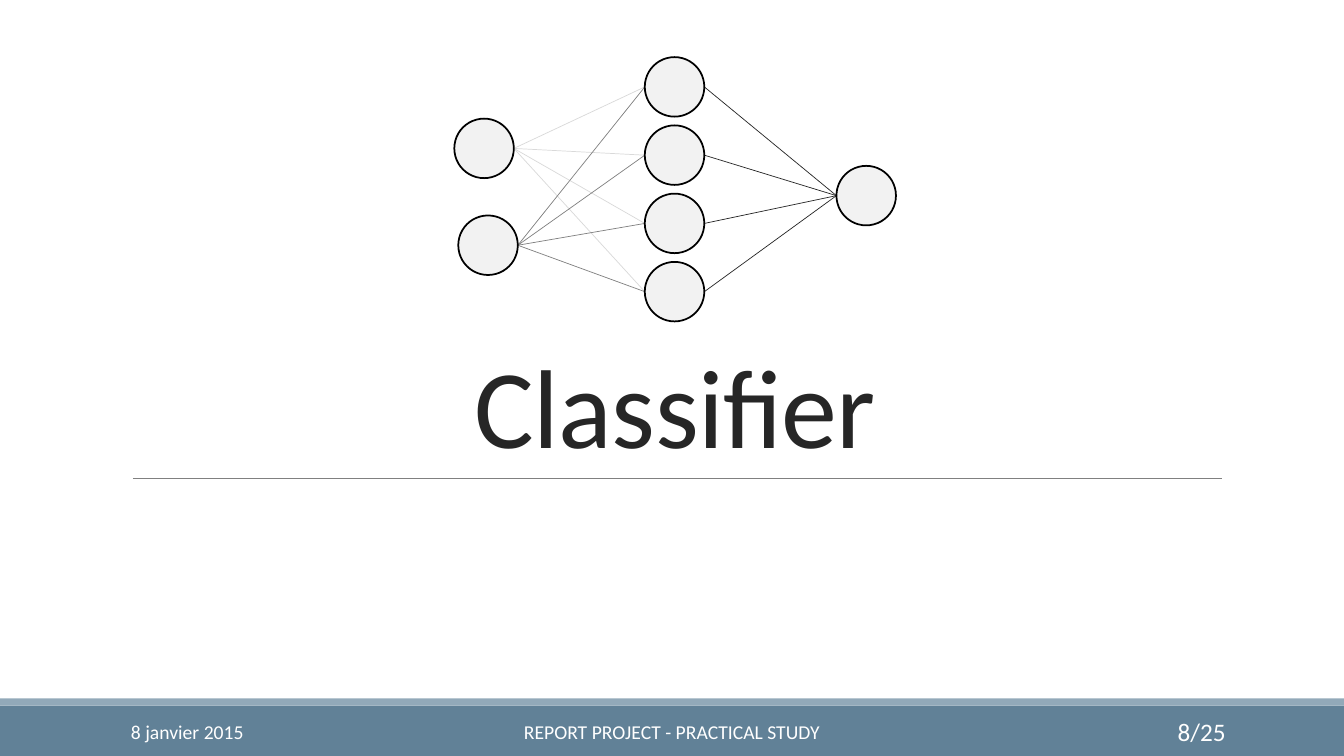
"""Builds the Classifier section slide with its neural network diagram."""
from dataclasses import dataclass

from lxml import etree
from pptx import Presentation
from pptx.dml.color import RGBColor
from pptx.enum.shapes import MSO_CONNECTOR, MSO_SHAPE
from pptx.enum.text import MSO_ANCHOR, MSO_AUTO_SIZE, PP_ALIGN
from pptx.oxml.ns import qn
from pptx.util import Cm, Pt

STRAIGHT = MSO_CONNECTOR.STRAIGHT
RECTANGLE, OVAL = MSO_SHAPE.RECTANGLE, MSO_SHAPE.OVAL
MIDDLE, BOTTOM = MSO_ANCHOR.MIDDLE, MSO_ANCHOR.BOTTOM
LEFT, CENTER, RIGHT = PP_ALIGN.LEFT, PP_ALIGN.CENTER, PP_ALIGN.RIGHT
NO_AUTOFIT = MSO_AUTO_SIZE.NONE
TITLE_ONLY = 5


@dataclass(frozen=True)
class Theme:
    """Colours, font and sizes of the slide."""
    font: str = "Calibri"
    band: str = "618197"
    stripe: str = "92A9B9"
    dark: str = "262626"
    mid: str = "808080"
    pale: str = "D9D9D9"
    node: str = "F2F2F2"
    outline: str = "000000"
    white: str = "FFFFFF"
    title_size: float = 80
    footer_size: float = 14
    page_size: float = 18
    thin: float = 0.5
    thick: float = 1.25


THEME = Theme()


def rgb(colour):
    """Return the colour object for a hex value."""
    return RGBColor.from_string(colour)


def add_line(shapes, start, end, colour):
    """Draw a thin straight line between two points in centimetres."""
    line = shapes.add_connector(STRAIGHT, *(Cm(v) for v in (*start, *end)))
    line.line.color.rgb = rgb(colour)
    line.line.width = Pt(THEME.thin)
    etree.SubElement(line.element.spPr, qn("a:effectLst"))


def add_filled(shapes, kind, box, fill, outline=None):
    """Draw a filled shape in a box, with an optional outline."""
    shape = shapes.add_shape(kind, *(Cm(v) for v in box))
    shape.shadow.inherit = False
    shape.fill.solid()
    shape.fill.fore_color.rgb = rgb(fill)
    if outline:
        shape.line.color.rgb = rgb(outline)
        shape.line.width = Pt(THEME.thick)
    else:
        shape.line.fill.background()


def write(frame, text, size, colour, align, anchor):
    """Put one formatted paragraph in a text frame and return it."""
    frame.text = text
    frame.word_wrap = True
    frame.auto_size = NO_AUTOFIT
    frame.vertical_anchor = anchor
    paragraph = frame.paragraphs[0]
    paragraph.alignment = align
    font = paragraph.runs[0].font
    font.name, font.size = THEME.font, Pt(size)
    font.color.rgb = rgb(colour)
    return paragraph


def add_title(slide, box):
    """Place the title at the bottom of its box, with a rule beneath it."""
    left, top, width, height = box
    title = slide.shapes.title
    title.left, title.top, title.width, title.height = (Cm(v) for v in box)
    paragraph = write(title.text_frame, "Classifier", THEME.title_size,
                      THEME.dark, CENTER, BOTTOM)
    paragraph.line_spacing = 0.85
    paragraph.runs[0].font._element.set("spc", "-50")
    rule_y = top + height + 0.05
    add_line(slide.shapes, (left + 0.3, rule_y),
             (left + width - 0.2, rule_y), THEME.mid)


def add_network(slide, box):
    """Draw a network of two inputs, four hidden nodes and one output."""
    left, top, width, height = box
    node = 1.5
    hidden_x, output_x = left + 4.8, left + width - node
    hidden_step = (height - node) / 3
    inputs = [(left, top + 1.55), (left + 0.1, top + 3.99)]
    hidden = [(hidden_x, top + row * hidden_step) for row in range(4)]
    output = (output_x, top + 2.74)
    network = slide.shapes.add_group_shape().shapes

    links = [(source, target, colour)
             for source, colour in zip(inputs, (THEME.pale, THEME.mid))
             for target in hidden]
    links += [(source, output, THEME.dark) for source in hidden]
    for (x1, y1), (x2, y2), colour in links:
        add_line(network, (x1 + node, y1 + node / 2),
                 (x2, y2 + node / 2), colour)
    for x, y in (*inputs, *hidden, output):
        add_filled(network, OVAL, (x, y, node, node),
                   THEME.node, THEME.outline)


def add_footer(slide, box):
    """Draw the footer band with the date, report name and page number."""
    left, top, width, height = box
    stripe = 0.18
    add_filled(slide.shapes, RECTANGLE,
               (left, top + stripe, width, height - stripe), THEME.band)
    add_filled(slide.shapes, RECTANGLE,
               (left, top, width, stripe), THEME.stripe)
    entries = (
        ("8 janvier 2015", 3.05, 6.86, THEME.footer_size, LEFT),
        ("REPORT PROJECT - PRACTICAL STUDY", 10.24, 13.39,
         THEME.footer_size, CENTER),
        ("8/25", 27.51, 3.63, THEME.page_size, RIGHT),
    )
    for text, offset, entry_width, size, align in entries:
        entry = slide.shapes.add_textbox(
            Cm(left + offset), Cm(top + 0.33), Cm(entry_width), Cm(1.02))
        write(entry.text_frame, text, size, THEME.white, align, MIDDLE)


def main():
    """Build and save the slide."""
    deck = Presentation()
    deck.slide_width, deck.slide_height = Cm(33.87), Cm(19.05)
    slide = deck.slides.add_slide(deck.slide_layouts[TITLE_ONLY])
    add_footer(slide, (0, 17.6, 33.87, 1.45))
    add_title(slide, (3.05, 2.11, 27.94, 9.9))
    add_network(slide, (11.45, 1.44, 11.13, 6.66))
    deck.save("out.pptx")


if __name__ == "__main__":
    main()
